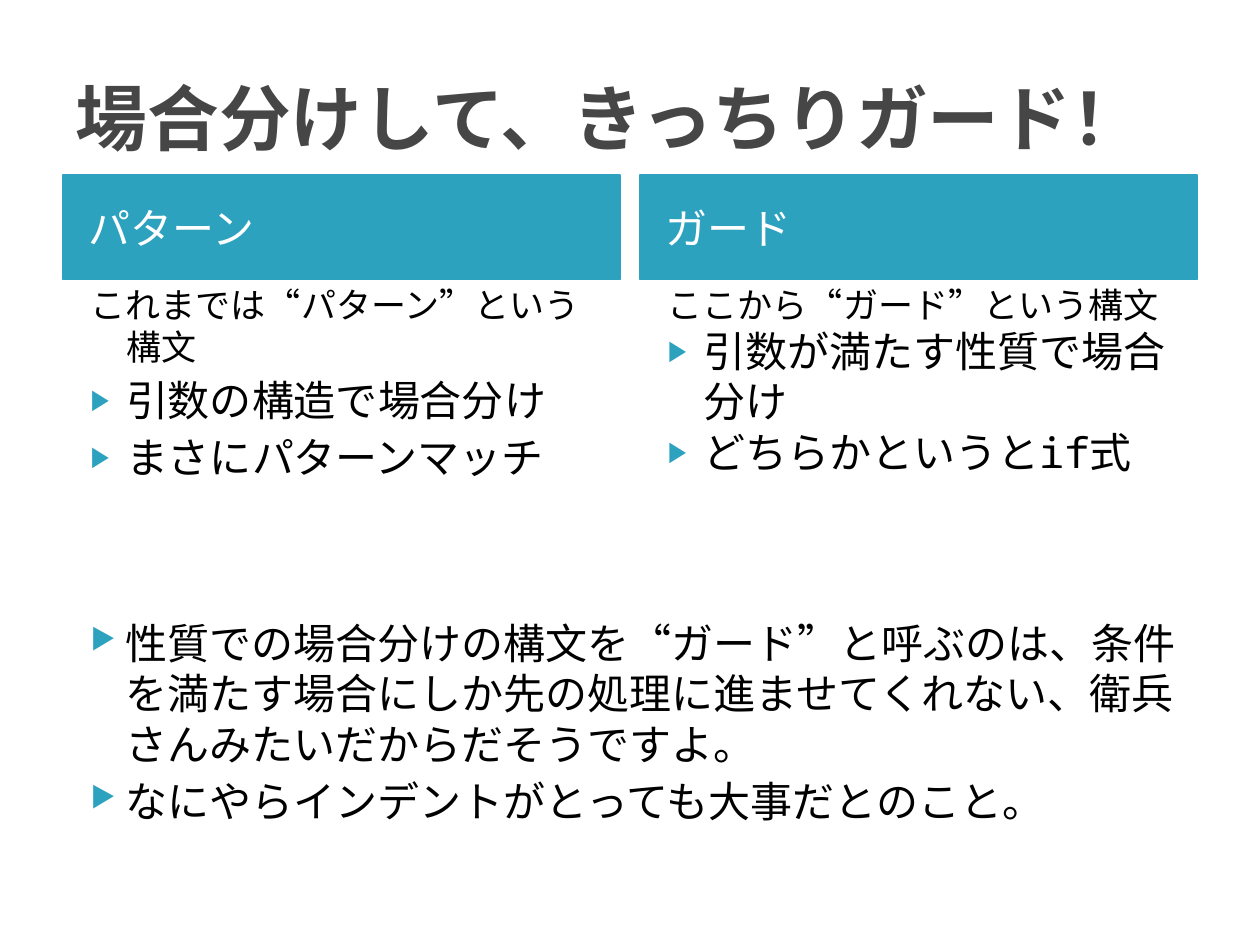
"""Build a slide comparing patterns and guards."""
import pptx
import pptx.util
import pptx.dml.color
import pptx.enum.text
import pptx.oxml.ns
import lxml.etree

Inches, Pt = pptx.util.Inches, pptx.util.Pt
ANCHOR = pptx.enum.text.MSO_ANCHOR
FONT, TEAL, BLACK, WHITE, GREY = "Noto Sans Mono", "2DA2BF", "000000", "FFFFFF", "464646"

TITLE = "場合分けして、きっちりガード！"
COLUMNS = [
    {"heading": "パターン", "intro": "これまでは“パターン”という構文",
     "points": ["引数の構造で場合分け", "まさにパターンマッチ"], "space": 4},
    {"heading": "ガード", "intro": "ここから“ガード”という構文",
     "points": ["引数が満たす性質で場合分け", "どちらかというとif式"], "space": 0},
]
REMARKS = [
    "性質での場合分けの構文を“ガード”と呼ぶのは、条件を満たす場合にしか先の処理に進ませてくれない、衛兵さんみたいだからだそうですよ。",
    "なにやらインデントがとっても大事だとのこと。",
]
LEFT, COLUMN_WIDTH, COLUMN_STEP = 0.5, 4.42, 4.58


def color(value):
    return pptx.dml.color.RGBColor.from_string(value)


def place(part, left, top, width, height):
    part.left, part.top = Inches(left), Inches(top)
    part.width, part.height = Inches(width), Inches(height)


def set_bullet(paragraph, bulleted, hanging):
    properties = paragraph._p.get_or_add_pPr()
    properties.set("marL", str(Inches(0.4 if hanging else 0)))
    properties.set("indent", str(Inches(-0.28 if hanging else 0)))

    def add(parent, tag, **attributes):
        return lxml.etree.SubElement(parent, pptx.oxml.ns.qn(tag), attributes)

    if bulleted:
        add(add(properties, "a:buClr"), "a:srgbClr", val=TEAL)
        add(properties, "a:buSzPct", val="68000")
        add(properties, "a:buChar", char="▶")
    else:
        add(properties, "a:buNone")


def write(part, lines, ink=BLACK, space=4, anchor=ANCHOR.TOP, bold=False, hanging=True):
    """Fill a part with (text, size, bulleted) lines."""
    frame = part.text_frame
    frame.word_wrap = True
    frame.auto_size = pptx.enum.text.MSO_AUTO_SIZE.NONE
    frame.vertical_anchor = anchor
    frame.text = "\n".join(text for text, _, _ in lines)
    for paragraph, (_, size, bulleted) in zip(frame.paragraphs, lines):
        set_bullet(paragraph, bulleted, hanging)
        paragraph.alignment = pptx.enum.text.PP_ALIGN.LEFT
        paragraph.space_before = Pt(space)
        paragraph.font.name = FONT
        paragraph.font.size = Pt(size)
        paragraph.font.bold = bold
        paragraph.font.color.rgb = color(ink)


deck = pptx.Presentation()
deck.slide_width, deck.slide_height = Inches(10), Inches(7.5)
slide = deck.slides.add_slide(deck.slide_layouts[4])
title, *bodies = slide.placeholders

place(title, LEFT, 0.3, 9, 1.25)
write(title, [(TITLE, 41, False)], GREY, 0, ANCHOR.MIDDLE, True, False)

for index, column in enumerate(COLUMNS):
    heading, points = bodies[2 * index:2 * index + 2]
    left = LEFT + index * COLUMN_STEP
    place(heading, left, 1.39, COLUMN_WIDTH, 0.83)
    heading.fill.solid()
    heading.fill.fore_color.rgb = color(TEAL)
    heading.line.color.rgb = color(TEAL)
    heading.line.width = Pt(0.76)
    heading.text_frame.margin_left = Inches(0.2)
    write(heading, [(column["heading"], 24, False)], WHITE, 4, ANCHOR.MIDDLE, hanging=False)

    place(points, left, 2.2, COLUMN_WIDTH, 2.34)
    lines = [(column["intro"], 20, False)] + [(point, 24, True) for point in column["points"]]
    write(points, lines, space=column["space"])

remarks = slide.shapes.add_textbox(Inches(LEFT), Inches(4.85), Inches(8.99), Inches(2.34))
write(remarks, [(remark, 24, True) for remark in REMARKS])

deck.save("out.pptx")
